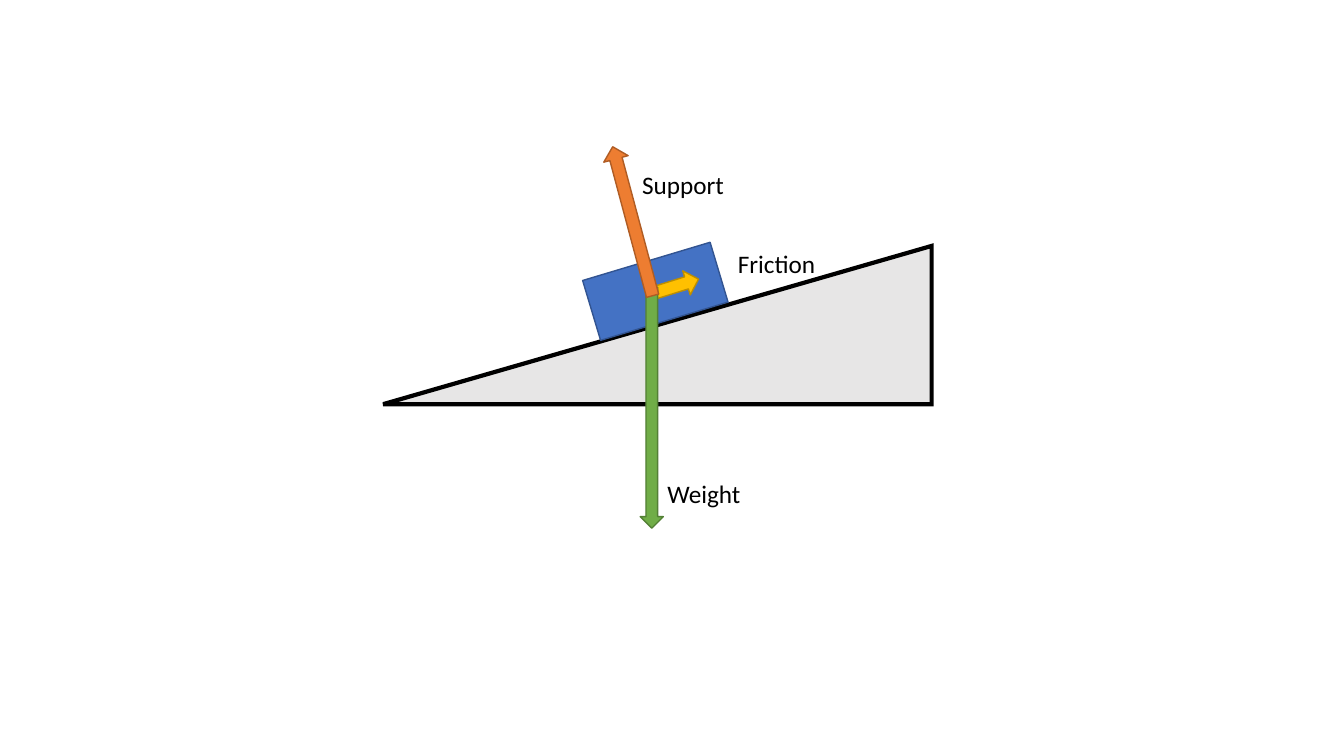
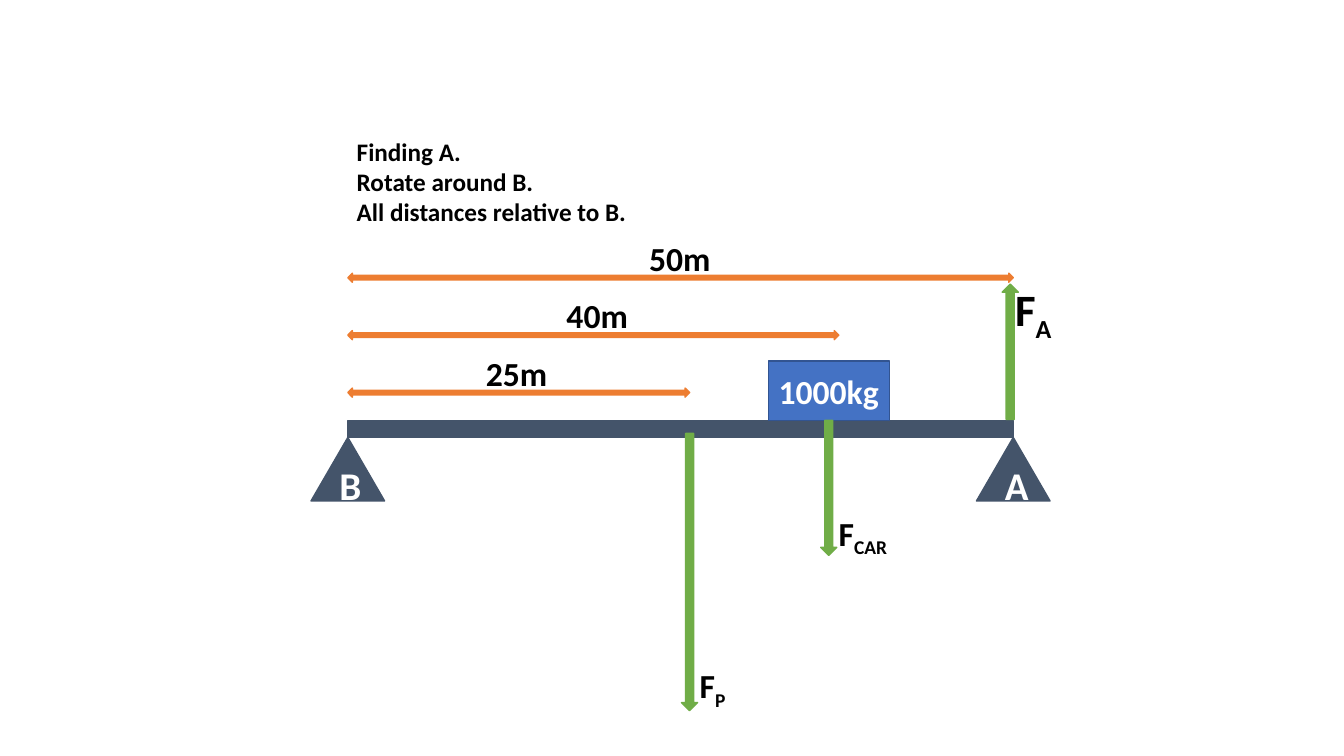
from dataclasses import dataclass

from lxml import etree
from pptx import Presentation
from pptx.dml.color import RGBColor
from pptx.enum.shapes import MSO_SHAPE
from pptx.enum.text import MSO_ANCHOR, MSO_AUTO_SIZE, PP_ALIGN
from pptx.oxml.ns import qn
from pptx.util import Inches, Pt

RECTANGLE = MSO_SHAPE.RECTANGLE
TRIANGLE = MSO_SHAPE.ISOSCELES_TRIANGLE
UP = MSO_SHAPE.UP_ARROW
DOWN = MSO_SHAPE.DOWN_ARROW
RIGHT = MSO_SHAPE.RIGHT_ARROW
SPAN = MSO_SHAPE.LEFT_RIGHT_ARROW
MIDDLE = MSO_ANCHOR.MIDDLE
CENTER = PP_ALIGN.CENTER
FIT_TEXT = MSO_AUTO_SIZE.SHAPE_TO_FIT_TEXT


@dataclass(frozen=True)
class Theme:
    font: str = "Calibri"
    black: str = "000000"
    white: str = "FFFFFF"
    ramp: str = "E7E6E6"
    beam: str = "44546A"
    load: str = "4472C4"
    load_edge: str = "325491"
    friction: str = "FFC000"
    friction_edge: str = "BD8E00"
    force: str = "70AD47"
    force_edge: str = "538035"
    accent: str = "ED7D31"
    accent_edge: str = "AF5C24"
    note_size: int = 18
    label_size: int = 24
    support_size: int = 28
    reaction_size: int = 32
    edge_width: int = 1
    ramp_width: int = 3


THEME = Theme()


def paint(shape, fill, edge, width=THEME.edge_width):
    shape.shadow.inherit = False
    shape.fill.solid()
    shape.fill.fore_color.rgb = RGBColor.from_string(fill)
    shape.line.color.rgb = RGBColor.from_string(edge)
    shape.line.width = Pt(width)


def add_run(paragraph, text, size, color=THEME.black, bold=True):
    run = paragraph.add_run()
    run.text = text
    run.font.name = THEME.font
    run.font.size = Pt(size)
    run.font.bold = bold
    run.font.color.rgb = RGBColor.from_string(color)
    return run


def add_block(slide, kind, box, fill, edge=None, rotation=0):
    """Draw a preset shape; its edge takes the fill colour unless given."""
    shape = slide.shapes.add_shape(kind, *map(Inches, box))
    paint(shape, fill, edge or fill)
    shape.rotation = rotation
    return shape


def write_inside(shape, text, size):
    frame = shape.text_frame
    frame.vertical_anchor = MIDDLE
    paragraph = frame.paragraphs[0]
    paragraph.alignment = CENTER
    add_run(paragraph, text, size, THEME.white)


def add_label(slide, box, lines, size, bold=True, subscript=""):
    """Write lines of text, with an optional subscript after the last."""
    frame = slide.shapes.add_textbox(*map(Inches, box)).text_frame
    frame.word_wrap = False
    frame.auto_size = FIT_TEXT
    for index, line in enumerate(lines):
        paragraph = frame.add_paragraph() if index else frame.paragraphs[0]
        add_run(paragraph, line, size, bold=bold)
    if subscript:
        run = add_run(paragraph, subscript, size, bold=bold)
        run._r.get_or_add_rPr().set("baseline", "-25000")


def add_ramp(slide, left, top, right, bottom):
    corners = [(Inches(x), Inches(y)) for x, y in
               ((left, bottom), (right, bottom), (right, top))]
    builder = slide.shapes.build_freeform(*corners[0])
    builder.add_line_segments(corners[1:], close=True)
    ramp = builder.convert_to_shape()
    paint(ramp, THEME.ramp, THEME.black, THEME.ramp_width)
    outline = ramp._element.spPr.find(qn("a:ln"))
    etree.SubElement(outline, qn("a:miter"), lim="800000")


def add_dimension(slide, left, top, length, text, text_left):
    add_block(slide, SPAN, (left, top, length, 0.09), THEME.accent)
    add_label(slide, (text_left, top - 0.4, 0.82, 0.5), [text],
              THEME.label_size)


def build_inclined_plane(slide):
    add_ramp(slide, 3.8, 2.44, 9.24, 4.01)
    add_block(slide, RECTANGLE, (5.84, 2.58, 1.32, 0.62),
              THEME.load, THEME.load_edge, -16.7)
    add_block(slide, RIGHT, (6.43, 2.72, 0.51, 0.25),
              THEME.friction, THEME.friction_edge, -17.3)
    add_block(slide, DOWN, (6.35, 2.85, 0.23, 2.39),
              THEME.force, THEME.force_edge)
    add_block(slide, UP, (6.15, 1.43, 0.25, 1.53),
              THEME.accent, THEME.accent_edge, -15)
    for name, left, top, width in (("Support", 6.27, 1.63, 1.02),
                                   ("Friction", 7.22, 2.41, 0.98),
                                   ("Weight", 6.52, 4.7, 0.94)):
        add_label(slide, (left, top, width, 0.4), [name],
                  THEME.note_size, bold=False)


def build_bridge(slide):
    beam_left, beam_top, beam_length, beam_depth = 3.45, 4.17, 6.6, 0.17
    support_width, support_height = 0.73, 0.63
    load_height = 0.59
    arrow_width = 0.16

    add_block(slide, RECTANGLE,
              (beam_left, beam_top, beam_length, beam_depth), THEME.beam)
    for name, pivot in (("B", beam_left), ("A", beam_left + beam_length)):
        support = add_block(slide, TRIANGLE,
                            (pivot - support_width / 2, beam_top + beam_depth,
                             support_width, support_height), THEME.beam)
        write_inside(support, name, THEME.support_size)
    car = add_block(slide, RECTANGLE,
                    (7.62, beam_top - load_height, 1.2, load_height),
                    THEME.load, THEME.load_edge)
    write_inside(car, "1000kg", THEME.label_size)

    for text, top, length, text_left in (("50m", 2.71, 6.6, 6.34),
                                         ("40m", 3.28, 4.87, 5.52),
                                         ("25m", 3.85, 3.39, 4.72)):
        add_dimension(slide, beam_left, top, length, text, text_left)

    for kind, left, top, length in ((UP, 9.94, 2.82, 1.34),
                                    (DOWN, 8.14, beam_top, 1.34),
                                    (DOWN, 6.76, 4.3, 2.75)):
        add_block(slide, kind, (left, top, arrow_width, length), THEME.force)
    for subscript, box, size in (
            ("A", (9.97, 2.75, 0.56, 0.64), THEME.reaction_size),
            ("CAR", (8.22, 5.04, 0.74, 0.5), THEME.label_size),
            ("P", (6.84, 6.55, 0.48, 0.5), THEME.label_size)):
        add_label(slide, box, ["F"], size, subscript=subscript)

    add_label(slide, (3.44, 1.3, 2.9, 1.01),
              ["Finding A.", "Rotate around B.",
               "All distances relative to B."], THEME.note_size)


def main():
    presentation = Presentation()
    presentation.slide_width = Inches(13.33)
    presentation.slide_height = Inches(7.5)
    blank = presentation.slide_layouts[6]
    for build in (build_inclined_plane, build_bridge):
        build(presentation.slides.add_slide(blank))
    presentation.save("out.pptx")


if __name__ == "__main__":
    main()
